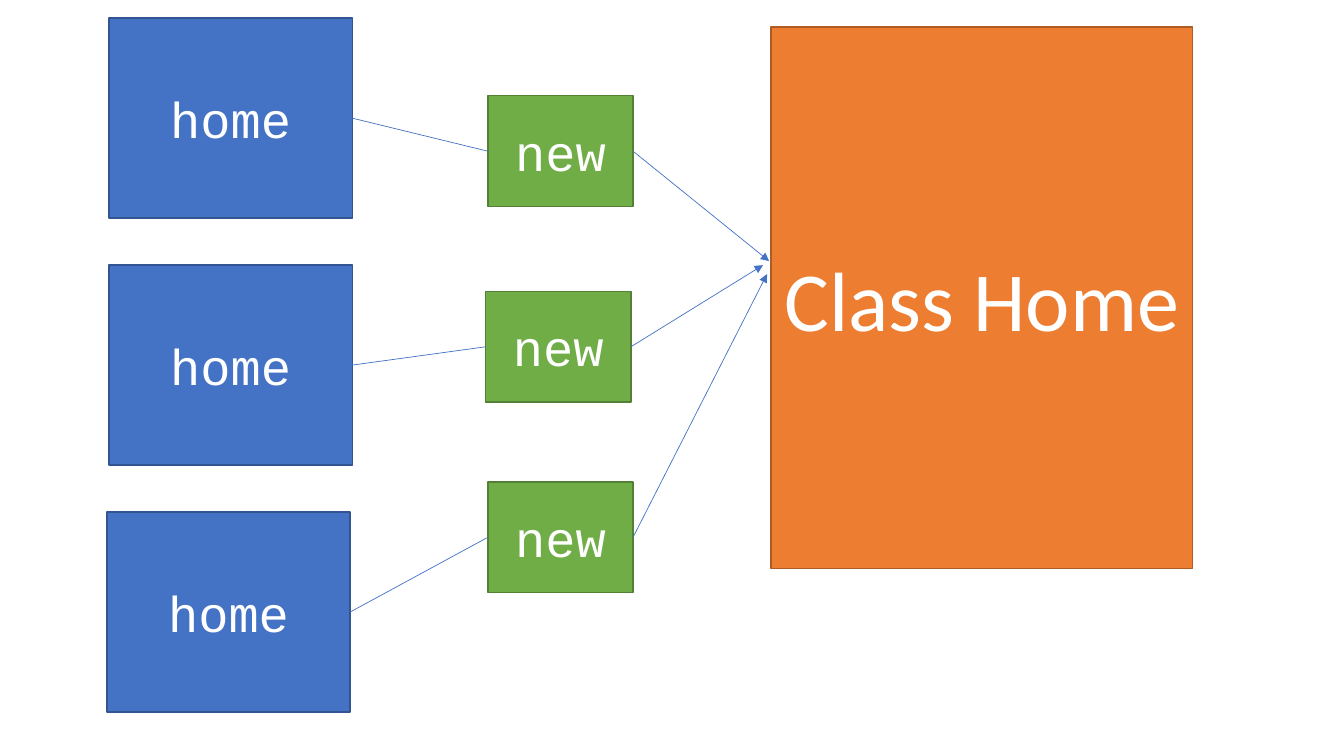
from pptx import Presentation
from pptx.dml.color import RGBColor
from pptx.enum.shapes import MSO_CONNECTOR as Conn, MSO_SHAPE as Shape
from pptx.enum.text import MSO_ANCHOR as Anchor, PP_ALIGN as Align
from pptx.oxml.ns import qn
from pptx.util import Pt
from lxml.etree import SubElement as sub

WHITE = RGBColor(0xFF, 0xFF, 0xFF)
BLUE = RGBColor(0x44, 0x72, 0xC4)
NAVY = RGBColor(0x32, 0x54, 0x91)
GREEN = RGBColor(0x70, 0xAD, 0x47)
MOSS = RGBColor(0x53, 0x80, 0x35)
ORANGE = RGBColor(0xED, 0x7D, 0x31)
RUST = RGBColor(0xAF, 0x5C, 0x24)

HOME_W, HOME_H = 173.8, 142.8
HOME_TOP, HOME_STEP = 13, 176.4
NEW_W, NEW_H = 103.7, 79.2

ROWS = [
    (77.8, 348.5, 68.4, (549.4, 186.5)),
    (77.8, 347, 208.1, (545, 189.4)),
    (76.3, 348.5, 344.2, (547.9, 195.8)),
]


def add_box(slide, text, area, fill, edge, font="Courier New", size=36):
    box = slide.shapes.add_shape(Shape.RECTANGLE, *map(Pt, area))
    box.shadow.inherit = False
    box.fill.solid()
    box.fill.fore_color.rgb = fill
    box.line.color.rgb = edge
    box.line.width = Pt(1)
    frame = box.text_frame
    frame.word_wrap = True
    frame.vertical_anchor = Anchor.MIDDLE
    para = frame.paragraphs[0]
    para.alignment = Align.CENTER
    run = para.add_run()
    run.text = text
    run.font.name = font
    run.font.size = Pt(size)
    run.font.color.rgb = WHITE
    return box


def add_link(slide, start, end):
    link = slide.shapes.add_connector(Conn.STRAIGHT, *map(Pt, start + end))
    link.line.color.rgb = BLUE
    link.line.width = Pt(0.5)
    sub(link._element.spPr, qn("a:effectLst"))
    return link


def add_arrow(slide, start, end):
    link = add_link(slide, start, end)
    sub(link.line._get_or_add_ln(), qn("a:tailEnd"), type="triangle")


def add_row(slide, row, home_x, new_x, new_y, tip):
    home_y = HOME_TOP + row * HOME_STEP
    home_mid = home_y + HOME_H / 2
    new_mid = new_y + NEW_H / 2
    add_box(slide, "home", (home_x, home_y, HOME_W, HOME_H), BLUE, NAVY)
    add_box(slide, "new", (new_x, new_y, NEW_W, NEW_H), GREEN, MOSS)
    add_link(slide, (home_x + HOME_W, home_mid), (new_x, new_mid))
    add_arrow(slide, (new_x + NEW_W, new_mid), tip)


def main():
    deck = Presentation()
    deck.slide_width, deck.slide_height = Pt(960), Pt(540)
    slide = deck.slides.add_slide(deck.slide_layouts[6])
    add_box(slide, "Class Home", (550.8, 19.4, 301, 386.6),
            ORANGE, RUST, "Calibri", 60)
    for row, place in enumerate(ROWS):
        add_row(slide, row, *place)
    deck.save("out.pptx")


if __name__ == "__main__":
    main()
